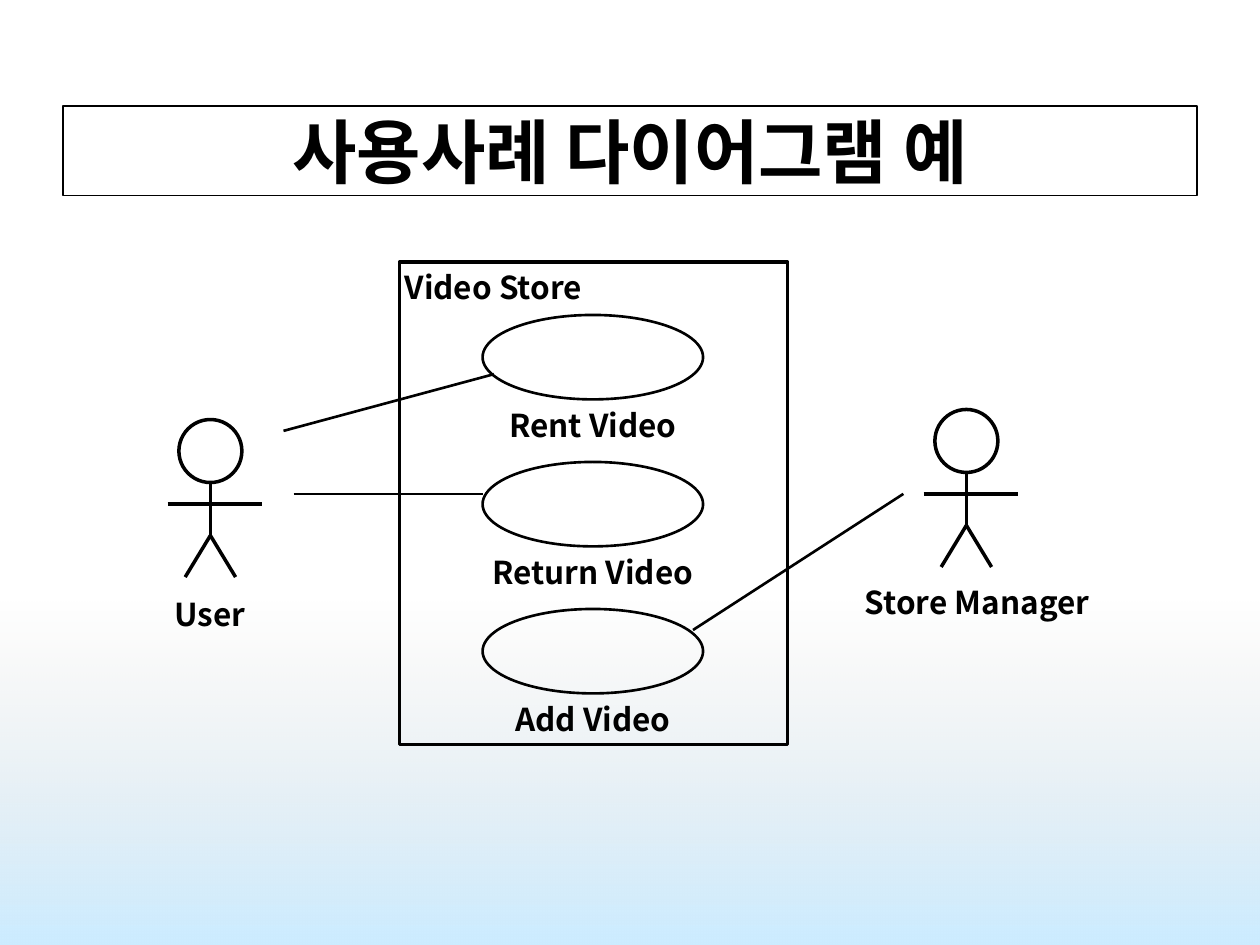
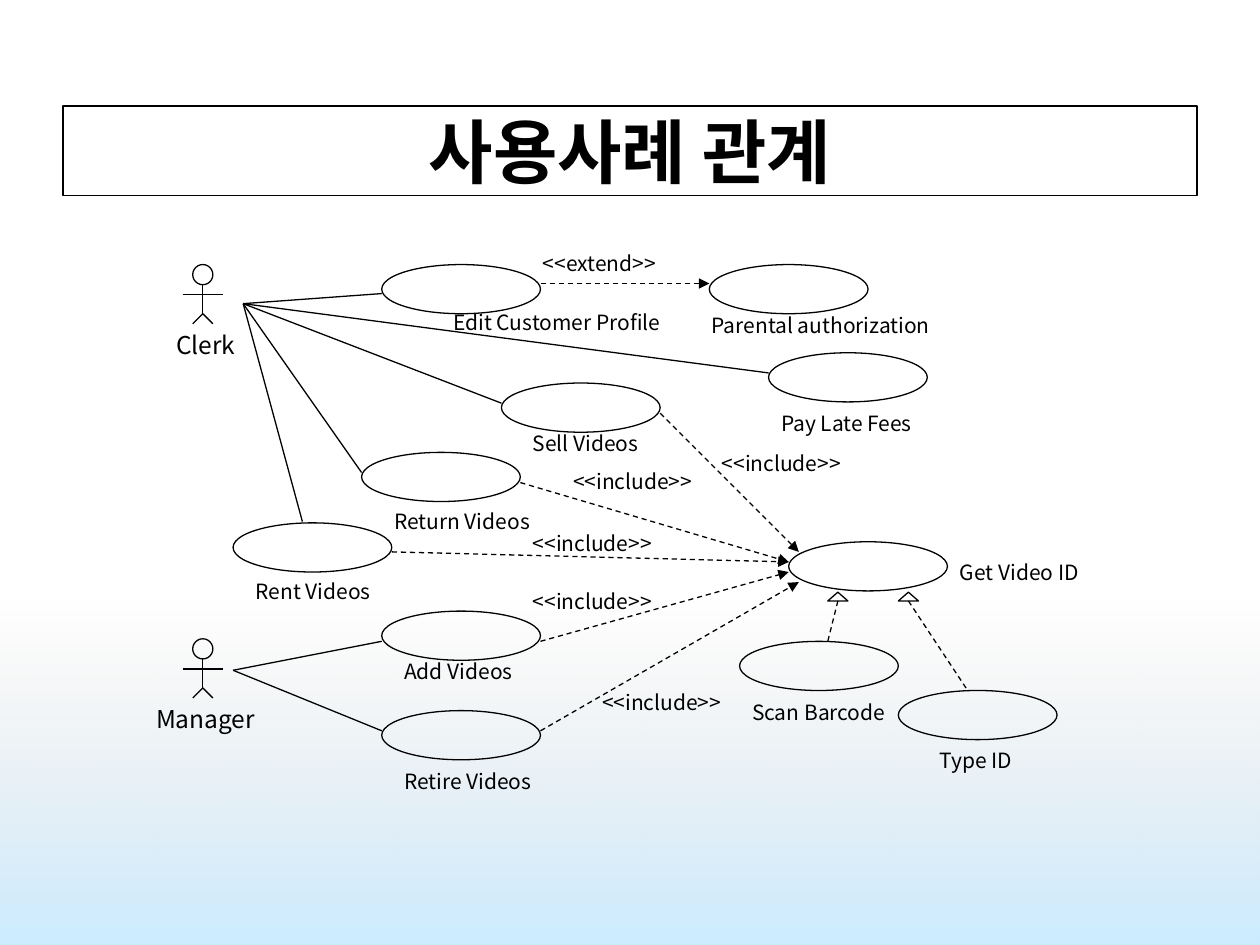
"""Builds two slides on use case diagrams and the relations between use cases."""
from lxml import etree
from pptx import Presentation
from pptx.dml.color import RGBColor
from pptx.enum import dml, shapes, text
from pptx.oxml.ns import qn
from pptx.util import Inches, Pt

FONT = "Noto Sans CJK KR"
BLACK, WHITE = "000000", "FFFFFF"
BAND_TOP, BAND_BOTTOM = "DDDDDD", "CCECFF"
SHAPE = shapes.MSO_SHAPE
LEFT, CENTER = text.PP_ALIGN.LEFT, text.PP_ALIGN.CENTER

STORE = {
    "title": "사용사례 다이어그램 예",
    "system": ("Video Store", (3, 2.08)),
    "use_cases": ["Rent Video", "Return Video", "Add Video"],
    "actors": [("User", (1.67, 3.33), (0.75, 4.67, 1.83)),
               ("Store Manager", (7.67, 3.25), (6.67, 4.58, 2.17))],
    "links": [((2.25, 3.42), (3.92, 2.97)),
              ((2.33, 3.92), (3.83, 3.92)),
              ((7.17, 3.92), (5.5, 5))],
}
RELATIONS = {
    "title": "사용사례 관계",
    "actors": [("Manager", (1.61, 5.07), (1.14, 5.54, 1.1)),
               ("Clerk", (1.61, 2.1), (1.3, 2.57, 0.95))],
    "use_cases": [
        ("Edit Customer Profile", (3.03, 2.1), (3.5, 2.41, 2.36)),
        ("Parental authorization", (5.63, 2.1), (5.55, 2.43, 1.95)),
        ("Pay Late Fees", (6.1, 2.8), (6.1, 3.21, 1.81)),
        ("Sell Videos", (3.98, 3.04), (4.13, 3.37, 1.81)),
        ("Return Videos", (2.87, 3.59), (3.03, 3.99, 1.81)),
        ("Rent Videos", (1.85, 4.15), (1.93, 4.54, 1.81)),
        ("Get Video ID", (6.26, 4.3), (7.52, 4.39, 1.81)),
        ("Add Videos", (3.03, 4.85), (3.11, 5.18, 1.81)),
        ("Retire Videos", (3.03, 5.64), (3.11, 6.05, 1.81)),
        ("Scan Barcode", (5.87, 5.09), (5.87, 5.5, 1.81)),
        ("Type ID", (7.13, 5.48), (7.36, 5.88, 1.81)),
    ],
    "links": [
        ((1.93, 2.41), [(3.03, 2.33), (6.1, 2.96), (3.98, 3.2), (2.87, 3.75), (2.4, 4.14)]),
        ((1.85, 5.32), [(3.03, 5.09), (3.03, 5.8)]),
    ],
    "dependencies": [
        ("<<extend>>", (4.21, 1.94), (4.29, 2.25), (5.63, 2.25)),
        ("<<include>>", (5.63, 3.53), (5.24, 3.28), (6.34, 4.38)),
        ("<<include>>", (4.45, 3.67), (4.13, 3.83), (6.26, 4.46)),
        ("<<include>>", (4.13, 4.16), (3.11, 4.38), (6.26, 4.46)),
        ("<<include>>", (4.13, 4.62), (4.29, 5.09), (6.26, 4.54)),
        ("<<include>>", (4.68, 5.42), (4.29, 5.8), (6.34, 4.62)),
    ],
    "generalizations": [((6.65, 4.7), (6.57, 5.09)), ((7.21, 4.7), (7.68, 5.48))],
}
LARGE_ACTOR = {"head": 0.5, "arms": (-0.34, 0.41), "arm_y": 0.67,
               "hip": 0.92, "foot": 1.25, "stride": 0.2, "weight": 2}
SMALL_ACTOR = {"head": 0.16, "arms": (-0.16, 0.16), "arm_y": 0.24,
               "hip": 0.39, "foot": 0.47, "stride": 0.08, "weight": 0.75}


def color(value):
    return RGBColor.from_string(value)


def add_outline(parent, kind, box, weight):
    shape = parent.shapes.add_shape(kind, *map(Inches, box))
    shape.shadow.inherit = False
    shape.fill.background()
    shape.line.color.rgb = color(BLACK)
    shape.line.width = Pt(weight)
    return shape


def add_line(parent, start, end, weight, dashed=False, arrow=False):
    line = parent.shapes.add_connector(
        shapes.MSO_CONNECTOR.STRAIGHT, *map(Inches, (*start, *end)))
    line.line.color.rgb = color(BLACK)
    line.line.width = Pt(weight)
    if dashed:
        line.line.dash_style = dml.MSO_LINE.DASH
    if arrow:
        etree.SubElement(line.line._get_or_add_ln(), qn("a:tailEnd"), type="triangle")
    etree.SubElement(line._element.spPr, qn("a:effectLst"))


def add_label(slide, words, place, size, bold=False, align=LEFT, height=0.3):
    box = slide.shapes.add_textbox(*map(Inches, (*place, height)))
    frame = box.text_frame
    frame.word_wrap = True
    paragraph = frame.paragraphs[0]
    paragraph.alignment = align
    run = paragraph.add_run()
    run.text = words
    run.font.name = FONT
    run.font.size = Pt(size)
    run.font.bold = bold
    run.font.color.rgb = color(BLACK)
    for tag in ("a:ea", "a:cs"):
        etree.SubElement(run.font._element, qn(tag), typeface=FONT)
    return box


def add_actor(slide, place, build):
    x, top = place
    head, weight = build["head"], build["weight"]
    hip, foot = (x, top + build["hip"]), top + build["foot"]
    group = slide.shapes.add_group_shape()
    add_outline(group, SHAPE.OVAL, (x - head / 2, top, head, head), weight)
    left, right = build["arms"]
    arm_y = top + build["arm_y"]
    add_line(group, (x + left, arm_y), (x + right, arm_y), weight)
    add_line(group, (x, top + head), hip, weight)
    for side in (-1, 1):
        add_line(group, hip, (x + side * build["stride"], foot), weight)


def add_base(presentation, title):
    slide = presentation.slides.add_slide(presentation.slide_layouts[6])
    band = add_outline(slide, SHAPE.RECTANGLE, (0, 4.77, 10, 2.73), 1)
    band.line.fill.background()
    band.fill.gradient()
    band.fill.gradient_angle = 270
    for stop, shade in zip(band.fill.gradient_stops, (BAND_TOP, BAND_BOTTOM)):
        stop.color.rgb = color(shade)
    first_shade = band._element.spPr.find(".//" + qn("a:srgbClr"))
    etree.SubElement(first_shade, qn("a:alpha"), val="0")
    box = add_label(slide, title, (0.5, 0.84, 9), 40, True, CENTER, 0.71)
    box.text_frame.vertical_anchor = text.MSO_ANCHOR.MIDDLE
    box.fill.solid()
    box.fill.fore_color.rgb = color(WHITE)
    box.line.color.rgb = color(BLACK)
    box.line.width = Pt(0.75)
    return slide


def build_store(presentation):
    slide = add_base(presentation, STORE["title"])
    add_outline(slide, SHAPE.RECTANGLE, (3.17, 2.08, 3.08, 3.83), 2)
    name, place = STORE["system"]
    add_label(slide, name, (*place, 1.83), 18, True, CENTER, 0.4)
    for index, name in enumerate(STORE["use_cases"]):
        top = 2.5 + index * 3.5 / 3
        add_outline(slide, SHAPE.OVAL, (3.83, top, 1.75, 0.67), 1.5)
        add_label(slide, name, (3.79, top + 0.67, 1.83), 18, True, CENTER, 0.4)
    for name, place, label in STORE["actors"]:
        add_actor(slide, place, LARGE_ACTOR)
        add_label(slide, name, label, 18, True, CENTER, 0.4)
    for start, end in STORE["links"]:
        add_line(slide, start, end, 1.5)


def build_relations(presentation):
    slide = add_base(presentation, RELATIONS["title"])
    for name, place, label in RELATIONS["actors"]:
        add_actor(slide, place, SMALL_ACTOR)
        add_label(slide, name, label, 14, height=0.34)
    for name, place, label in RELATIONS["use_cases"]:
        add_outline(slide, SHAPE.OVAL, (*place, 1.26, 0.39), 0.75)
        add_label(slide, name, label, 12)
    for start, ends in RELATIONS["links"]:
        for end in ends:
            add_line(slide, start, end, 0.75)
    for name, label, start, end in RELATIONS["dependencies"]:
        add_line(slide, start, end, 0.75, dashed=True, arrow=True)
        add_label(slide, name, (*label, 1.18), 12)
    for (x, y), end in RELATIONS["generalizations"]:
        add_outline(slide, SHAPE.ISOSCELES_TRIANGLE, (x - 0.08, y, 0.16, 0.07), 0.75)
        add_line(slide, (x, y + 0.07), end, 0.75, dashed=True)


def main():
    presentation = Presentation()
    presentation.slide_width, presentation.slide_height = Inches(10), Inches(7.5)
    build_store(presentation)
    build_relations(presentation)
    presentation.save("out.pptx")


if __name__ == "__main__":
    main()
